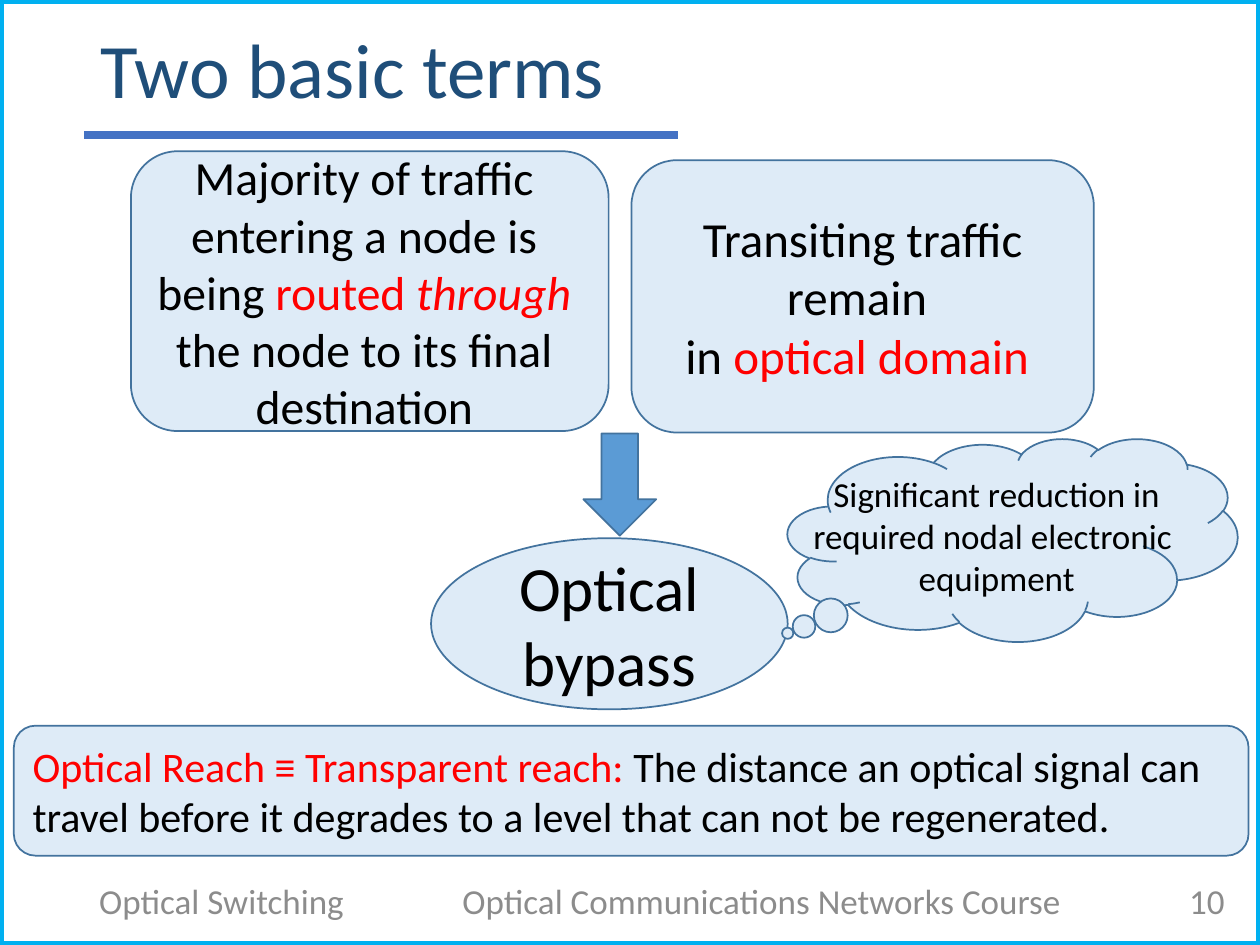
from lxml import etree
from pptx import Presentation
from pptx.dml.color import RGBColor
from pptx.enum.shapes import MSO_CONNECTOR, MSO_SHAPE
from pptx.enum.text import MSO_ANCHOR, PP_ALIGN
from pptx.oxml.ns import qn
from pptx.util import Cm, Pt

LEFT, CENTER, RIGHT = PP_ALIGN.LEFT, PP_ALIGN.CENTER, PP_ALIGN.RIGHT
MIDDLE = MSO_ANCHOR.MIDDLE
RECT, OVAL, ARROW = MSO_SHAPE.RECTANGLE, MSO_SHAPE.OVAL, MSO_SHAPE.DOWN_ARROW
ROUNDED, CLOUD = MSO_SHAPE.FLOWCHART_ALTERNATE_PROCESS, MSO_SHAPE.CLOUD_CALLOUT
STRAIGHT = MSO_CONNECTOR.STRAIGHT

FONT = "Calibri"
COLORS = {
    "frame": "00B0F0", "rule": "4472C4", "title": "1F4E79", "footer": "8C8C8C",
    "panel": "DEEBF7", "outline": "43739E", "arrow": "5B9BD5",
    "text": "000000", "key": "FF0000",
}


def rgb(name):
    return RGBColor.from_string(COLORS[name])


def write(sp, lines, size, color="text", align=CENTER, wrap=True, spacing=None):
    """Fill a shape; a line is a string or a list of (text, color, italic)."""
    tf = sp.text_frame
    tf.word_wrap = wrap
    tf.vertical_anchor = MIDDLE
    for i, line in enumerate(lines):
        p = tf.paragraphs[0] if i == 0 else tf.add_paragraph()
        p.alignment = align
        if spacing:
            p.line_spacing = spacing
        runs = [(line, color, False)] if isinstance(line, str) else line
        for text, run_color, italic in runs:
            r = p.add_run()
            r.text = text
            r.font.name, r.font.size = FONT, Pt(size)
            r.font.italic = italic
            r.font.color.rgb = rgb(run_color)


def add_label(s, box, text, size, **fmt):
    sp = s.shapes.add_textbox(*map(Cm, box))
    write(sp, [text], size, **fmt)


def add_box(s, kind, box, fill="panel", line="outline", width=1):
    sp = s.shapes.add_shape(kind, *map(Cm, box))
    sp.shadow.inherit = False
    if fill:
        sp.fill.solid()
        sp.fill.fore_color.rgb = rgb(fill)
    else:
        sp.fill.background()
    sp.line.color.rgb = rgb(line)
    sp.line.width = Pt(width)
    return sp


def add_rule(s, x1, x2, y):
    line = s.shapes.add_connector(STRAIGHT, Cm(x1), Cm(y), Cm(x2), Cm(y))
    line.line.color.rgb = rgb("rule")
    line.line.width = Pt(4.5)
    etree.SubElement(line._element.spPr, qn("a:effectLst"))


def main():
    prs = Presentation()
    prs.slide_width, prs.slide_height = Cm(25.4), Cm(19.05)
    s = prs.slides.add_slide(prs.slide_layouts[6])

    # Frame and title
    add_box(s, RECT, (0, 0, 25.4, 19.05), fill=None, line="frame", width=5)
    add_rule(s, 1.7, 13.67, 2.72)
    add_label(s, (1.78, 0.41, 21.89, 2.16), "Two basic terms", 44,
              color="title", align=LEFT, spacing=0.9)

    # Footer
    for x, w, text, align in (
        (1.75, 5.72, "Optical Switching", LEFT),
        (8.41, 13.89, "Optical Communications Networks Course", CENTER),
        (23.19, 1.75, "10", RIGHT),
    ):
        add_label(s, (x, 17.65, w, 1.02), text, 20, color="footer", align=align)

    # Two premises
    sp = add_box(s, ROUNDED, (2.64, 3.05, 9.63, 5.64))
    write(sp, [
        "Majority of traffic ",
        "entering a node is ",
        [("being ", "text", False), ("routed ", "key", False),
         ("through ", "key", True)],
        "the node to its final ",
        "destination ",
    ], 27.2, wrap=False)
    sp = add_box(s, ROUNDED, (12.73, 3.23, 9.32, 5.49))
    write(sp, [
        "Transiting traffic",
        "remain ",
        [("in ", "text", False), ("optical domain ", "key", False)],
    ], 28, wrap=False)

    # Conclusion
    add_box(s, ARROW, (11.76, 8.74, 1.47, 2.06), fill="arrow")
    sp = add_box(s, OVAL, (8.69, 10.85, 7.19, 3.45))
    write(sp, ["Optical bypass"], 36)

    # Definition
    sp = add_box(s, ROUNDED, (0.28, 14.63, 24.89, 2.62))
    write(sp, [
        [("Optical Reach ≡ Transparent reach: ", "key", False),
         ("The distance an optical signal can", "text", False)],
        "travel before it degrades to a level that can not be regenerated.",
    ], 24, align=LEFT)

    # Benefit cloud
    sp = add_box(s, CLOUD, (15.88, 8.84, 9.07, 4.09))
    sp.adjustments[0], sp.adjustments[1] = -0.5, 0.46
    write(sp, ["Significant reduction in", "required nodal electronic ",
               "equipment"], 20, wrap=False)

    prs.save("out.pptx")


if __name__ == "__main__":
    main()
